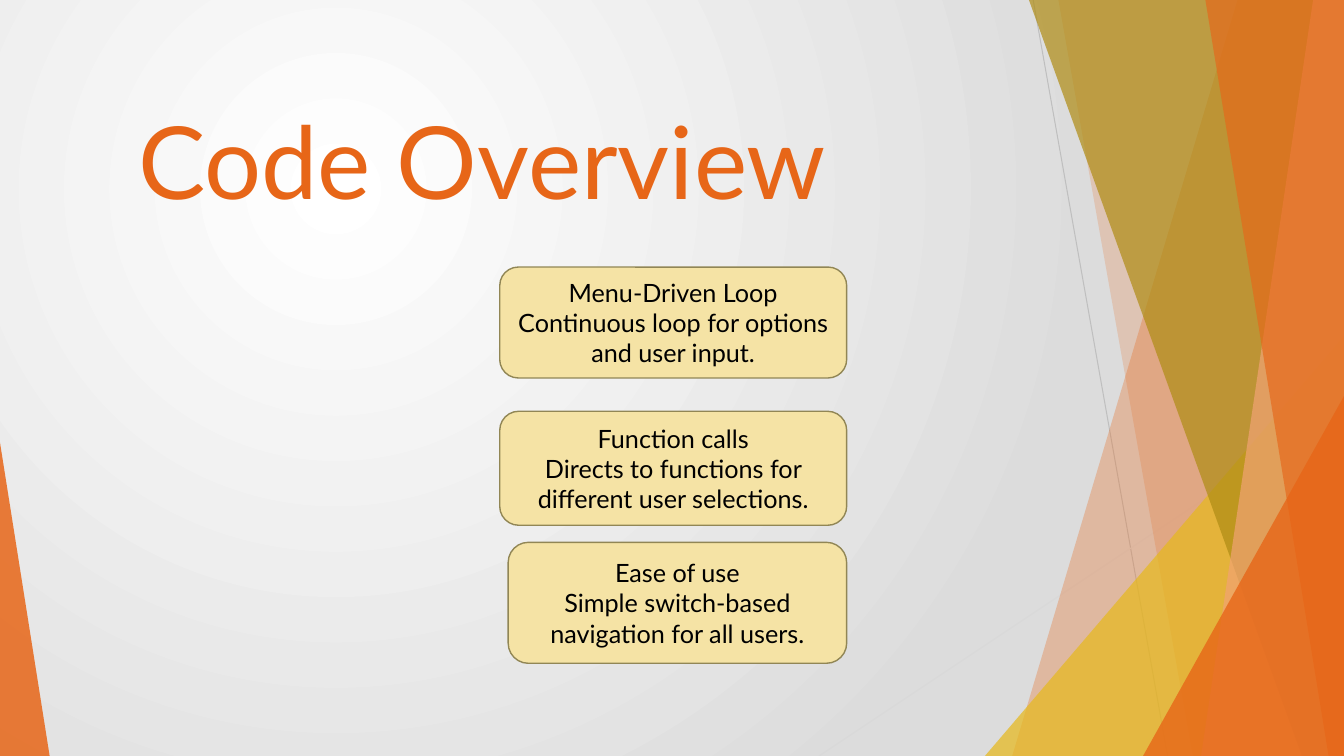
from lxml.etree import SubElement
from pptx import Presentation
from pptx.dml.color import RGBColor
from pptx.enum.shapes import MSO_CONNECTOR as Link, MSO_SHAPE as Kind
from pptx.enum.text import MSO_ANCHOR as Anchor, PP_ALIGN as Align
from pptx.oxml.ns import qn
from pptx.util import Pt

WIDE, HIGH = 960, 540
FONT = "Lato"
HUES = {
    "white": "FFFFFF", "mist": "DCDCDC", "gray": "BFBFBF", "pale": "D9D9D9",
    "orange": "E76618", "peach": "F1A374", "gold": "E6B91E", "olive": "AF8C14",
    "cream": "F5E3A5", "edge": "918655", "black": "000000",
}
TITLE = "Code Overview"
CARDS = [  # left, top, height, lines
    (357, 190.8, 79.2, ["Menu-Driven Loop", "Continuous loop for options and user input."]),
    (357, 293.8, 81.4, ["Function calls", "Directs to functions for different user selections."]),
    (363, 387.4, 86.4, ["Ease of use", "Simple switch-based navigation for all users."]),
]
CARD_END = 604.8
RULES = [((738, 0), (834, HIGH), "gray"), ((WIDE, 290), (585, HIGH), "pale")]
# A band runs from its top and bottom x to the right edge of the slide;
# a wedge is a right triangle: left, top, width, apex.
PARTS = [
    ("band", (884, 723), "orange", 30),
    ("band", (756, 852), "orange", 20),
    ("wedge", (703.5, 240, 256.5, 1), "gold", 72),
    ("band", (735, 930), "olive", 70),
    ("band", (938, 858), "peach", 70),
    ("band", (861, 949), "orange", 65),
    ("wedge", (816.5, 283, 143.5, 1), "orange", 80),
    ("wedge", (0, 316, 35.5, 0), "orange", 85),
]


def hue(name):
    return RGBColor.from_string(HUES[name])


def write(frame, lines, size, color, align):
    frame.word_wrap = True
    frame.vertical_anchor = Anchor.MIDDLE
    for i, line in enumerate(lines):
        para = frame.paragraphs[0] if i == 0 else frame.add_paragraph()
        para.alignment = align
        run = para.add_run()
        run.text = line
        run.font.name, run.font.size = FONT, Pt(size)
        run.font.color.rgb = hue(color)


def paint(shape, color, alpha=100, edge=None):
    shape.shadow.inherit = False
    shape.fill.solid()
    shape.fill.fore_color.rgb = hue(color)
    if alpha < 100:
        tint = shape._element.spPr.find(qn("a:solidFill"))[0]
        SubElement(tint, qn("a:alpha"), val=str(alpha * 1000))
    if edge:
        shape.line.color.rgb = hue(edge)
        shape.line.width = Pt(1)
    else:
        shape.line.fill.background()


def glow(slide):
    """Fill the background with a round gradient centred in the upper left."""
    fill = slide.background.fill
    fill.gradient()
    for stop, name in zip(fill.gradient_stops, ("white", "mist")):
        stop.color.rgb = hue(name)
    grad = next(slide._element.iter(qn("a:gradFill")))
    grad.remove(grad.find(qn("a:lin")))
    ring = SubElement(grad, qn("a:path"), path="circle")
    SubElement(ring, qn("a:fillToRect"), l="50000", t="50000", r="100000", b="100000")


def rule(shapes, start, end, color):
    line = shapes.add_connector(Link.STRAIGHT, *map(Pt, start + end))
    line.line.color.rgb = hue(color)
    line.line.width = Pt(0.75)
    SubElement(line._element.spPr, qn("a:effectLst"))


def band(shapes, top, foot):
    path = shapes.build_freeform(top, 0, scale=Pt(1))
    path.add_line_segments([(WIDE, 0), (WIDE, HIGH), (foot, HIGH)], close=True)
    return path.convert_to_shape()


def wedge(shapes, left, top, width, apex):
    shape = shapes.add_shape(Kind.ISOSCELES_TRIANGLE,
                             *map(Pt, (left, top, width, HIGH - top)))
    shape.adjustments[0] = apex
    return shape


def main():
    deck = Presentation()
    deck.slide_width, deck.slide_height = Pt(WIDE), Pt(HIGH)
    slide = deck.slides.add_slide(deck.slide_layouts[5])
    shapes = slide.shapes
    glow(slide)
    for item in RULES:
        rule(shapes, *item)
    make = {"band": band, "wedge": wedge}
    for kind, dims, color, alpha in PARTS:
        paint(make[kind](shapes, *dims), color, alpha)

    title = shapes.title
    title.left, title.top, title.width, title.height = map(Pt, (91.4, 62, 756, 103))
    write(title.text_frame, [TITLE], size=72, color="orange", align=Align.LEFT)
    shapes._spTree.append(title._element)  # bring in front of the bands

    for left, top, height, lines in CARDS:
        card = shapes.add_shape(Kind.ROUNDED_RECTANGLE,
                                *map(Pt, (left, top, CARD_END - left, height)))
        paint(card, "cream", edge="edge")
        write(card.text_frame, lines, size=18, color="black", align=Align.CENTER)
    deck.save("out.pptx")


if __name__ == "__main__":
    main()
